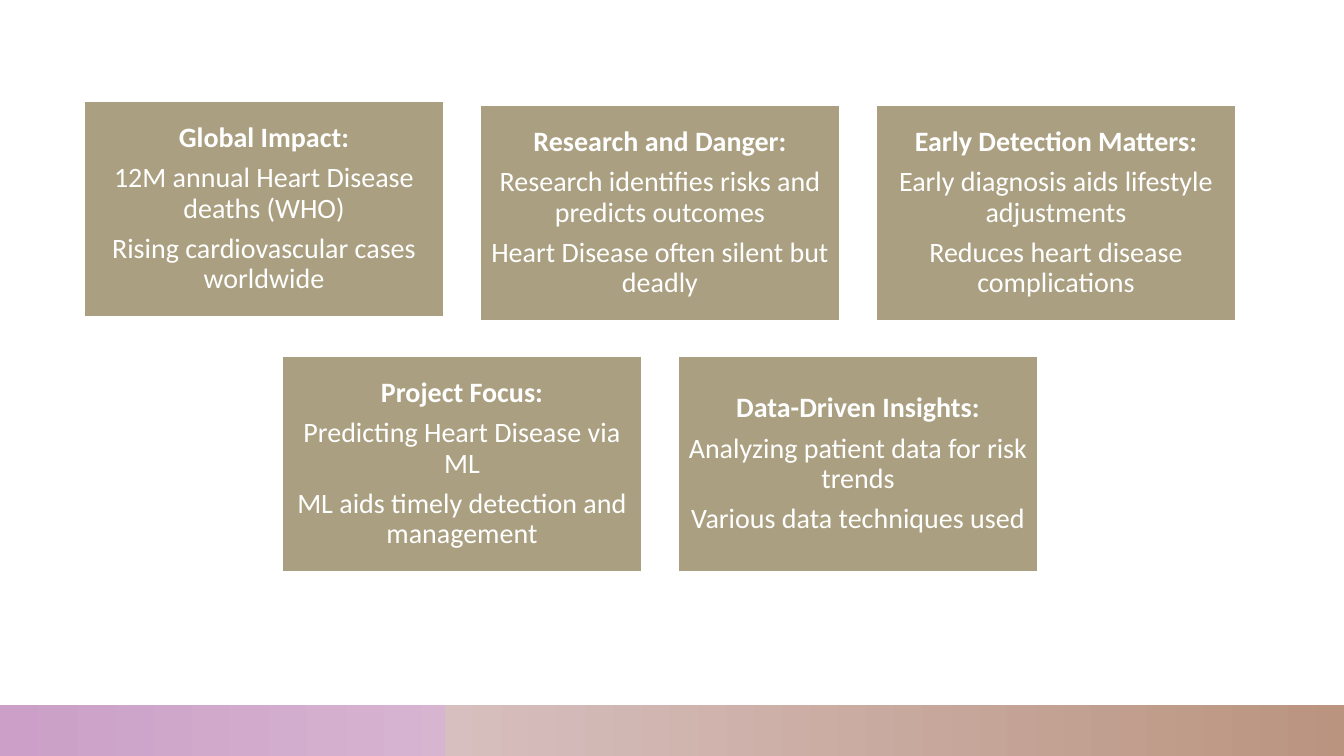
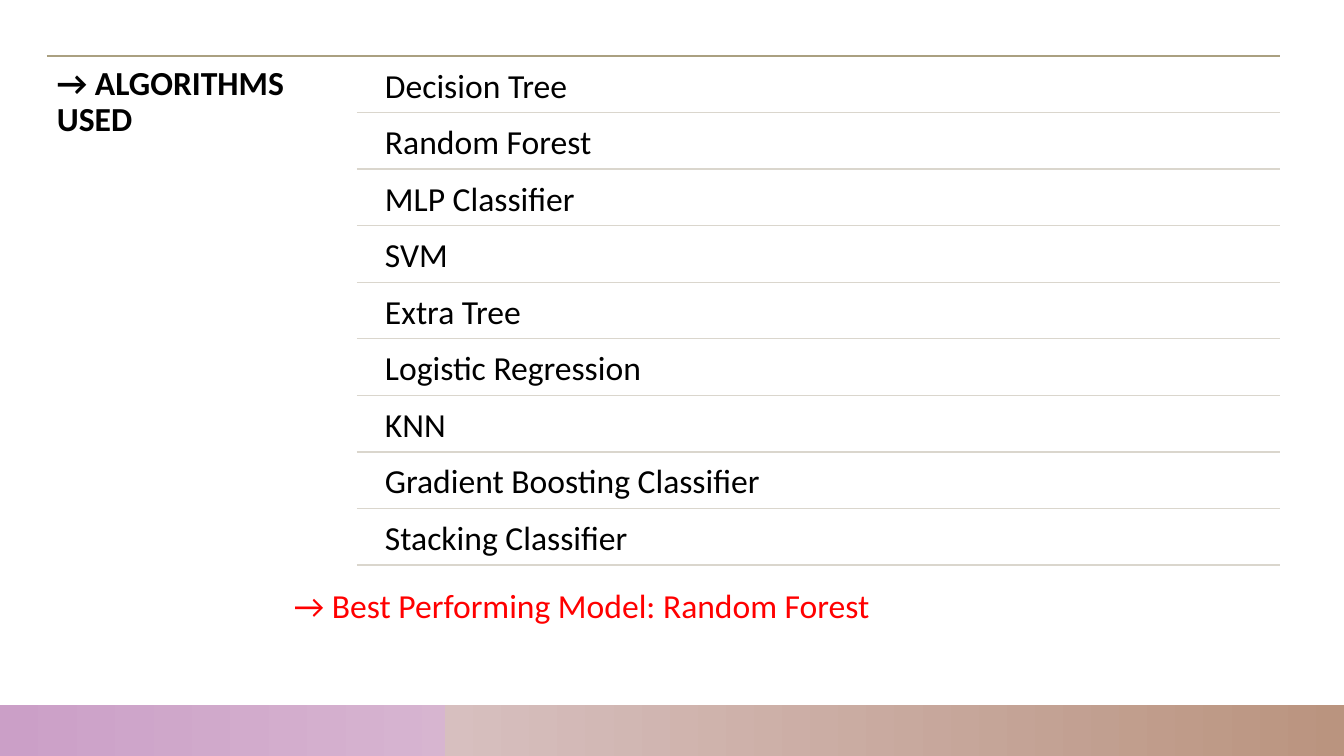
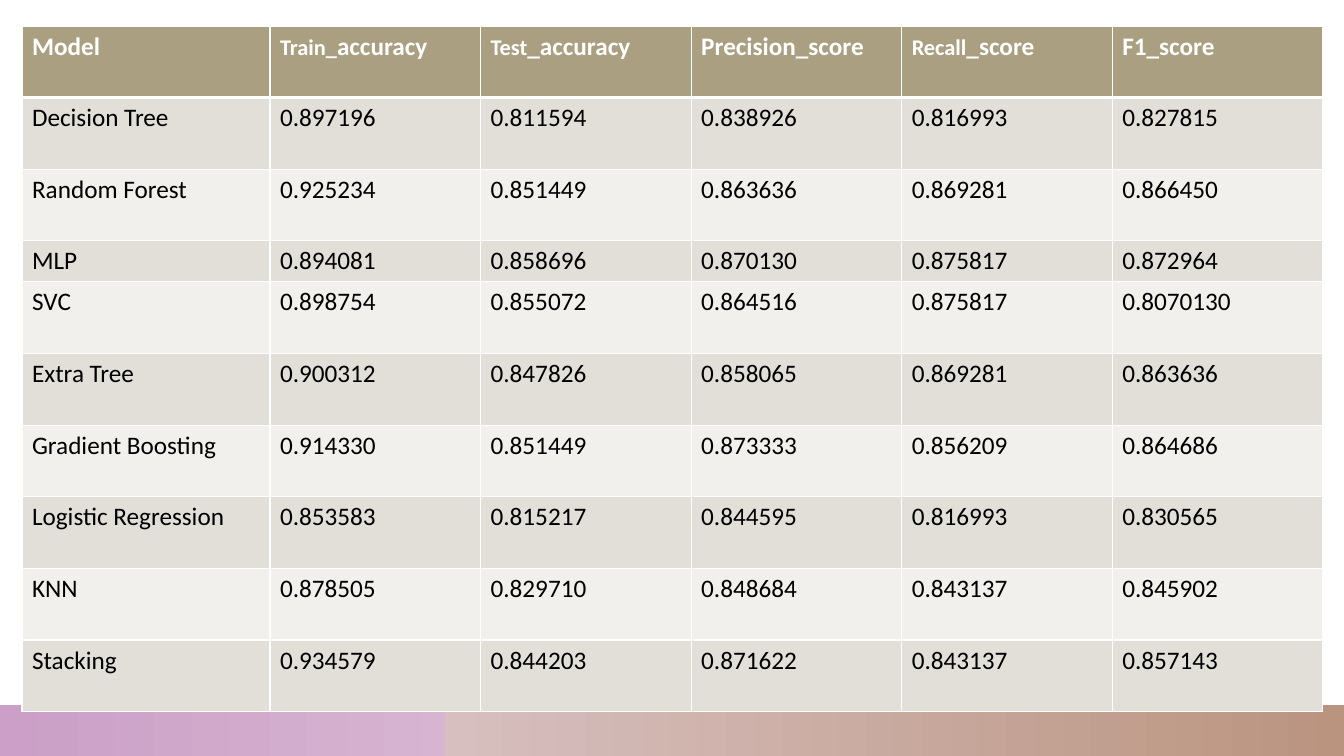
from lxml.etree import SubElement
from pptx import Presentation
from pptx.dml.color import RGBColor
from pptx.enum.shapes import MSO_CONNECTOR, MSO_SHAPE
from pptx.enum.text import MSO_ANCHOR, PP_ALIGN
from pptx.oxml.ns import qn
from pptx.util import Pt

PIXEL = 914400 / 100.8
WIDE, HIGH = 1344, 756
FONT = "Calibri"

WHITE = RGBColor(0xFF, 0xFF, 0xFF)
BLACK = RGBColor(0, 0, 0)
RED = RGBColor(0xFF, 0, 0)
KHAKI = RGBColor(0xAA, 0xA0, 0x81)
RULE = RGBColor(0xDA, 0xD6, 0xCD)
DARK = RGBColor(0xE2, 0xDF, 0xD8)
LIGHT = RGBColor(0xF1, 0xF0, 0xED)
LILAC = RGBColor(0xCB, 0x9F, 0xC7)
BLUSH = RGBColor(0xF0, 0xE4, 0xE4)
ROSE = RGBColor(0xD7, 0xBF, 0xBF)
TAN = RGBColor(0xBA, 0x94, 0x7F)

CARDS = [
    [("Global Impact:", "12M annual Heart Disease deaths (WHO)",
      "Rising cardiovascular cases worldwide"),
     ("Research and Danger:", "Research identifies risks and predicts outcomes",
      "Heart Disease often silent but deadly"),
     ("Early Detection Matters:", "Early diagnosis aids lifestyle adjustments",
      "Reduces heart disease complications")],
    [("Project Focus:", "Predicting Heart Disease via ML",
      "ML aids timely detection and management"),
     ("Data-Driven Insights:", "Analyzing patient data for risk trends",
      "Various data techniques used")],
]
MODELS = ["Decision Tree", "Random Forest", "MLP Classifier", "SVM", "Extra Tree",
          "Logistic Regression", "KNN", "Gradient Boosting Classifier",
          "Stacking Classifier"]
HEADS = ["Model", [("Train_", 16), ("accuracy", 18)], [("Test", 16), ("_accuracy", 18)],
         "Precision_score", [("Recall", 16), ("_score", 18)], "F1_score"]
SCORES = [
    ("Decision Tree", "0.897196", "0.811594", "0.838926", "0.816993", "0.827815"),
    ("Random Forest", "0.925234", "0.851449", "0.863636", "0.869281", "0.866450"),
    ("MLP", "0.894081", "0.858696", "0.870130", "0.875817", "0.872964"),
    ("SVC", "0.898754", "0.855072", "0.864516", "0.875817", "0.8070130"),
    ("Extra Tree", "0.900312", "0.847826", "0.858065", "0.869281", "0.863636"),
    ("Gradient Boosting", "0.914330", "0.851449", "0.873333", "0.856209", "0.864686"),
    ("Logistic Regression", "0.853583", "0.815217", "0.844595", "0.816993", "0.830565"),
    ("KNN", "0.878505", "0.829710", "0.848684", "0.843137", "0.845902"),
    ("Stacking", "0.934579", "0.844203", "0.871622", "0.843137", "0.857143"),
]


def emu(*sizes):
    """Turn pixels into EMU."""
    return [round(size * PIXEL) for size in sizes]


def write(frame, paras, size=24, color=BLACK, bold=0, align=PP_ALIGN.LEFT,
          line=None, after=0):
    """Fill a frame; the first `bold` paragraphs are bold."""
    frame.word_wrap = True
    for i, para in enumerate(paras):
        part = frame.paragraphs[0] if i == 0 else frame.add_paragraph()
        part.alignment = align
        part.space_after = Pt(after)
        if line:
            part.line_spacing = line
        for words, points in [(para, size)] if isinstance(para, str) else para:
            run = part.add_run()
            run.text = words
            run.font.name = FONT
            run.font.size = Pt(points)
            run.font.bold = i < bold
            run.font.color.rgb = color


def inset(frame, size):
    """Set the same inset on all four sides."""
    pad, = emu(size)
    frame.margin_left = frame.margin_right = pad
    frame.margin_top = frame.margin_bottom = pad


def label(slide, box, words, pad=None, **style):
    """Add a text box."""
    frame = slide.shapes.add_textbox(*emu(*box)).text_frame
    if pad:
        inset(frame, pad)
    write(frame, [words], **style)


def block(slide, box):
    """Add a rectangle without shadow."""
    shape = slide.shapes.add_shape(MSO_SHAPE.RECTANGLE, *emu(*box))
    shape.shadow.inherit = False
    return shape


def rule(slide, left, right, y, color):
    """Add a thin level line."""
    line = slide.shapes.add_connector(MSO_CONNECTOR.STRAIGHT, *emu(left, y, right, y))
    line.line.color.rgb = color
    line.line.width = Pt(1)
    SubElement(line._element.spPr, qn("a:effectLst"))


def band(slide, box):
    """Draw the two blended strips of the footer."""
    x, y, w, h = box
    for left, first, last in [(x, LILAC, BLUSH), (x + 445, ROSE, TAN)]:
        strip = block(slide, (left, y, x + w - left, h))
        strip.line.fill.background()
        strip.fill.gradient()
        strip.fill.gradient_angle = 0
        for stop, color, place in zip(strip.fill.gradient_stops, (first, last), (0, 1)):
            stop.color.rgb = color
            stop.position = place


def card(slide, box, paras):
    """Draw one filled card."""
    shape = block(slide, box)
    shape.fill.solid()
    shape.fill.fore_color.rgb = KHAKI
    shape.line.color.rgb = WHITE
    shape.line.width = Pt(1)
    frame = shape.text_frame
    frame.vertical_anchor = MSO_ANCHOR.MIDDLE
    inset(frame, 8)
    write(frame, paras, size=20, color=WHITE, bold=1, align=PP_ALIGN.CENTER,
          line=0.9, after=7)


def grid(slide, box):
    """Lay out rows of cards, centred, the first card slightly raised."""
    x, y, w, h = box
    wide, high, gap = 360, 216, 36
    for r, row in enumerate(CARDS):
        left = x + (w - len(row) * (wide + gap) + gap) / 2
        for c, paras in enumerate(row):
            top = y if r + c == 0 else y + 4 + r * (h - 4 - high)
            card(slide, (left + c * (wide + gap), top, wide, high), paras)


def listing(slide, box):
    """Draw a heading beside ruled rows."""
    x, y, w, h = box
    side, step = 310, h / len(MODELS)
    style = dict(pad=10, line=0.9, after=8.4)
    rule(slide, x, x + w, y, KHAKI)
    label(slide, (x, y, side, h), "→ ALGORITHMS USED", bold=1, **style)
    for i, name in enumerate(MODELS):
        top = y + i * step
        label(slide, (x + side + 18, top + 3, w - side - 18, 53), name, **style)
        rule(slide, x + side, x + w, top + step, RULE)


def border(cell, under):
    """Give a cell white edges, with its own width below."""
    props = cell._tc.get_or_add_tcPr()
    for tag, points in [("lnL", 1), ("lnR", 1), ("lnT", 1), ("lnB", under)]:
        edge = SubElement(props, qn("a:" + tag), w=str(Pt(points)))
        fill = SubElement(edge, qn("a:solidFill"))
        SubElement(fill, qn("a:srgbClr"), val=str(WHITE))


def scores(slide, box):
    """Draw the table of scores, with one low row."""
    x, y, w, h = box
    rows = [HEADS] + SCORES
    first, low = 248, 41
    table = slide.shapes.add_table(len(rows), len(HEADS), *emu(*box)).table
    for c, col in enumerate(table.columns):
        col.width, = emu((w - first) / (len(HEADS) - 1) if c else first)
    for r, row in enumerate(rows):
        short = row[0] == "MLP"
        table.rows[r].height, = emu(low if short else (h - low) / (len(rows) - 1))
        for c, words in enumerate(row):
            cell = table.cell(r, c)
            border(cell, 1 if r else 3)
            cell.fill.solid()
            cell.fill.fore_color.rgb = (DARK if r % 2 else LIGHT) if r else KHAKI
            write(cell.text_frame, [words], size=18, bold=int(r == 0),
                  color=BLACK if r else WHITE)


def main():
    """Build and save the slides."""
    deck = Presentation()
    deck.slide_width, deck.slide_height = emu(WIDE, HIGH)
    pages = []
    for _ in range(3):
        page = deck.slides.add_slide(deck.slide_layouts[6])
        band(page, (0, 705, WIDE, 51))
        pages.append(page)
    cause, means, marks = pages
    grid(cause, (84, 101, 1152, 471))
    listing(means, (47, 56, 1233, 509))
    label(means, (284, 580, 820, 50), "→ Best Performing Model: Random Forest", color=RED)
    scores(marks, (22, 26, 1301, 686))
    deck.save("out.pptx")


main()
